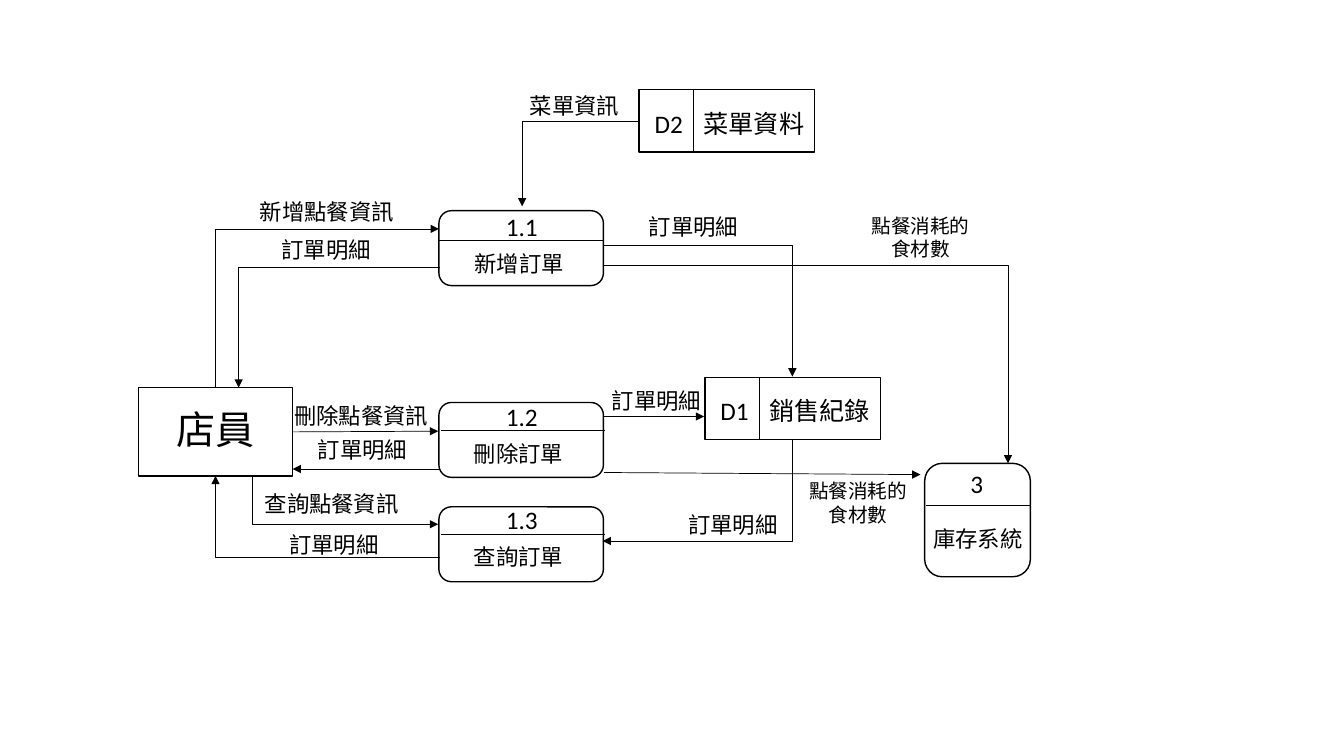
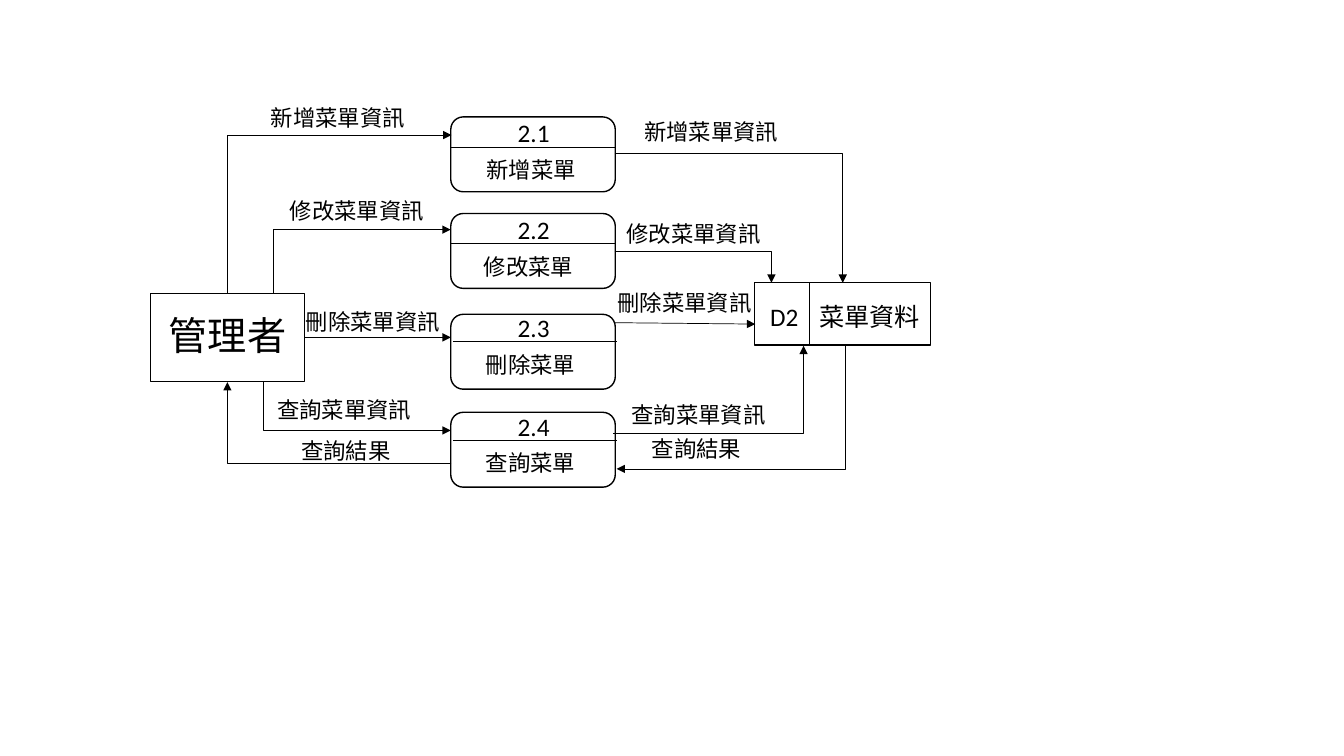
"""Builds two data flow diagrams: order handling and menu maintenance."""
import pptx
import pptx.dml.color
import pptx.enum.shapes
import pptx.enum.text
import pptx.oxml
import pptx.oxml.ns
import pptx.util
import lxml.etree

Pt = pptx.util.Pt
SHAPES = pptx.enum.shapes.MSO_SHAPE
ALIGN = pptx.enum.text.PP_ALIGN
INK = pptx.dml.color.RGBColor.from_string("000000")
FONT = "Calibri"
ENTITY_SIZE = (110, 63)
PROCESS_SIZE = (117.5, 53.5)
STORE_SIZE = (125.5, 44.5)
STORE_SPLIT = 39
LABEL_WIDTH = 127.5


def write(box, text, size, align=ALIGN.LEFT, anchor=pptx.enum.text.MSO_ANCHOR.TOP, **spacing):
    """Put one formatted paragraph into a box."""
    frame = box.text_frame
    frame.word_wrap = True
    frame.vertical_anchor = anchor
    para = frame.paragraphs[0]
    for name, value in {"alignment": align, **spacing}.items():
        setattr(para, name, value)
    span = para.add_run()
    span.text = text
    for name, value in {"name": FONT, "size": Pt(size)}.items():
        setattr(span.font, name, value)
    span.font.color.rgb = INK


def connect(page, start, end, arrow=None, bent=False):
    """Draw a thin line; a bent one leaves its start horizontally and turns once."""
    kinds = pptx.enum.shapes.MSO_CONNECTOR
    kind = kinds.ELBOW if bent else kinds.STRAIGHT
    line = page.shapes.add_connector(kind, *[Pt(length) for length in (*start, *end)])
    line.line.color.rgb = INK
    line.line.width = Pt(0.5)
    properties = line._element.spPr
    qualify = pptx.oxml.ns.qn
    if bent:
        properties.find(qualify("a:prstGeom")).set("prst", "bentConnector2")
    if arrow:
        outline = properties.find(qualify("a:ln"))
        lxml.etree.SubElement(outline, qualify(f"a:{arrow}End")).set("type", "triangle")
    lxml.etree.SubElement(properties, qualify("a:effectLst"))
    return line


diagrams = [
    {
        "entity": ("店員", 99, 277),
        "first_flow": (313, 308),
        "processes": [
            ("1.1", "新增訂單", 313.5, 150.5, 172, 0, 18.5),
            ("1.2", "刪除訂單", 313.5, 287.5, 307.5, 1.5, 18),
            ("1.3", "查詢訂單", 313.5, 362, 381.5, 1.5, 18),
        ],
        "stores": [("D1", "銷售紀錄", 503.5, 269.5), ("D2", "菜單資料", 456.5, 64)],
        "straight": [
            ((314, 335), (209, 335)),
            ((430.5, 297.5), (503, 297.5)),
            ((431.5, 337.5), (657.5, 339)),
        ],
        "bent": [
            ((313.5, 163.5), (154, 277), "head"),
            ((314.5, 191), (170.5, 277), "tail"),
            ((313, 374.5), (180, 339), "head"),
            ((314, 398), (154, 340), "tail"),
            ((430.5, 175), (566, 269), "tail"),
            ((430.5, 386.5), (566, 314.5), "head"),
            ((456.5, 86.5), (373, 147.5), "tail"),
            ((430.5, 189.5), (720, 331), "tail"),
        ],
        "labels": [
            ("新增點餐資訊", 178.5, 138),
            ("訂單明細", 194, 165),
            ("刪除點餐資訊", 203, 284),
            ("訂單明細", 220, 308),
            ("查詢點餐資訊", 182, 346.5),
            ("訂單明細", 199.5, 376),
            ("菜單資訊", 371.5, 62),
            ("訂單明細", 456.5, 149),
            ("訂單明細", 430, 273),
            ("訂單明細", 484.5, 361.5),
        ],
    },
    {
        "entity": ("管理者", 107.5, 209.5),
        "first_flow": (322, 241),
        "processes": [
            ("2.1", "新增菜單", 322, 83.5, 105, 0, 18.5),
            ("2.2", "修改菜單", 322, 152.5, 174, 0, 16.5),
            ("2.3", "刪除菜單", 322, 224.5, 244, 1.5, 18),
            ("2.4", "查詢菜單", 322, 294.5, 314.5, 1.5, 18),
        ],
        "stores": [("D2", "菜單資料", 539, 202)],
        "straight": [((439, 230.5), (539.5, 231.5))],
        "bent": [
            ((322.5, 96.5), (162.5, 209.5), "head"),
            ((322, 164), (195, 209.5), "head"),
            ((322, 307.5), (188.5, 272.5), "head"),
            ((322.5, 331), (162.5, 273), "tail"),
            ((439, 109.5), (602, 202), "tail"),
            ((439, 179.5), (551, 202), "tail"),
            ((438, 309.5), (574, 247), "tail"),
            ((440.5, 335), (604, 246.5), "head"),
        ],
        "labels": [
            ("新增菜單資訊", 186.5, 71),
            ("修改菜單資訊", 200, 137.5),
            ("刪除菜單資訊", 211.5, 216.5),
            ("查詢菜單資訊", 191, 279.5),
            ("查詢結果", 208, 309),
            ("新增菜單資訊", 453, 80.5),
            ("修改菜單資訊", 440.5, 153.5),
            ("刪除菜單資訊", 434, 203),
            ("查詢菜單資訊", 444, 283),
            ("查詢結果", 458.5, 307.5),
        ],
    },
]

deck = pptx.Presentation()
deck.slide_width, deck.slide_height = Pt(960), Pt(540)

for number, diagram in enumerate(diagrams):
    page = deck.slides.add_slide(deck.slide_layouts[6])
    caption, entity_left, entity_top = diagram["entity"]
    outlines = [(SHAPES.RECTANGLE, entity_left, entity_top, *ENTITY_SIZE)]
    dividers = []
    texts = [(text, left, top, LABEL_WIDTH, 16, ALIGN.LEFT) for text, left, top in diagram["labels"]]

    for code, name, left, top, split, shift, indent in diagram["processes"]:
        outlines.append((SHAPES.ROUNDED_RECTANGLE, left, top, *PROCESS_SIZE))
        dividers.append(((left + shift, split), (left + shift + PROCESS_SIZE[0], split)))
        texts.append((code, left + 5.5, split - 24.5, 107.5, 18, ALIGN.CENTER))
        texts.append((name, left + indent, split + 3, 116.5, 16, ALIGN.LEFT))

    for code, name, left, top in diagram["stores"]:
        outlines.append((SHAPES.RECTANGLE, left, top, *STORE_SIZE))
        split = left + STORE_SPLIT
        dividers.append(((split, top + STORE_SIZE[1]), (split, top)))
        texts.append((code, left + 4, top + 9.5, 39, 18, ALIGN.LEFT))
        texts.append((name, split, top + 9.5, 92, 18, ALIGN.LEFT))

    if number == 0:
        outlines.append((SHAPES.ROUNDED_RECTANGLE, 660.5, 331, 75.5, 81))
        dividers.append(((661.5, 361), (736.5, 361)))
        texts.append(("3", 686, 331, 68.5, 18, ALIGN.LEFT))
        texts.append(("庫存系統", 659.5, 371.5, 79, 16, ALIGN.LEFT))
        for left, top in [(565, 338.5), (609.5, 149)]:
            texts.append(("點餐消耗的食材數", left, top, 96, 14, ALIGN.CENTER))

    boxes = []
    for kind, *frame in outlines:
        box = page.shapes.add_shape(kind, *[Pt(length) for length in frame])
        box.shadow.inherit = False
        box.fill.background()
        box.line.color.rgb = INK
        box.line.width = Pt(1)
        boxes.append(box)
    entity = boxes[0]
    write(entity, caption, 28, ALIGN.CENTER, pptx.enum.text.MSO_ANCHOR.MIDDLE,
          line_spacing=0.9, space_before=Pt(10))

    for start, end in dividers:
        connect(page, start, end)
    first_end = diagram["first_flow"]
    first = connect(page, (entity_left + ENTITY_SIZE[0], first_end[1]), first_end, "tail")
    first.begin_connect(entity, 3)
    for start, end in diagram["straight"]:
        connect(page, start, end, "tail")
    for start, end, arrow in diagram["bent"]:
        connect(page, start, end, arrow, bent=True)

    for text, left, top, width, size, align in texts:
        box = page.shapes.add_textbox(Pt(left), Pt(top), Pt(width), Pt(size * 1.2 + 7.5))
        write(box, text, size, align)

deck.save("out.pptx")
